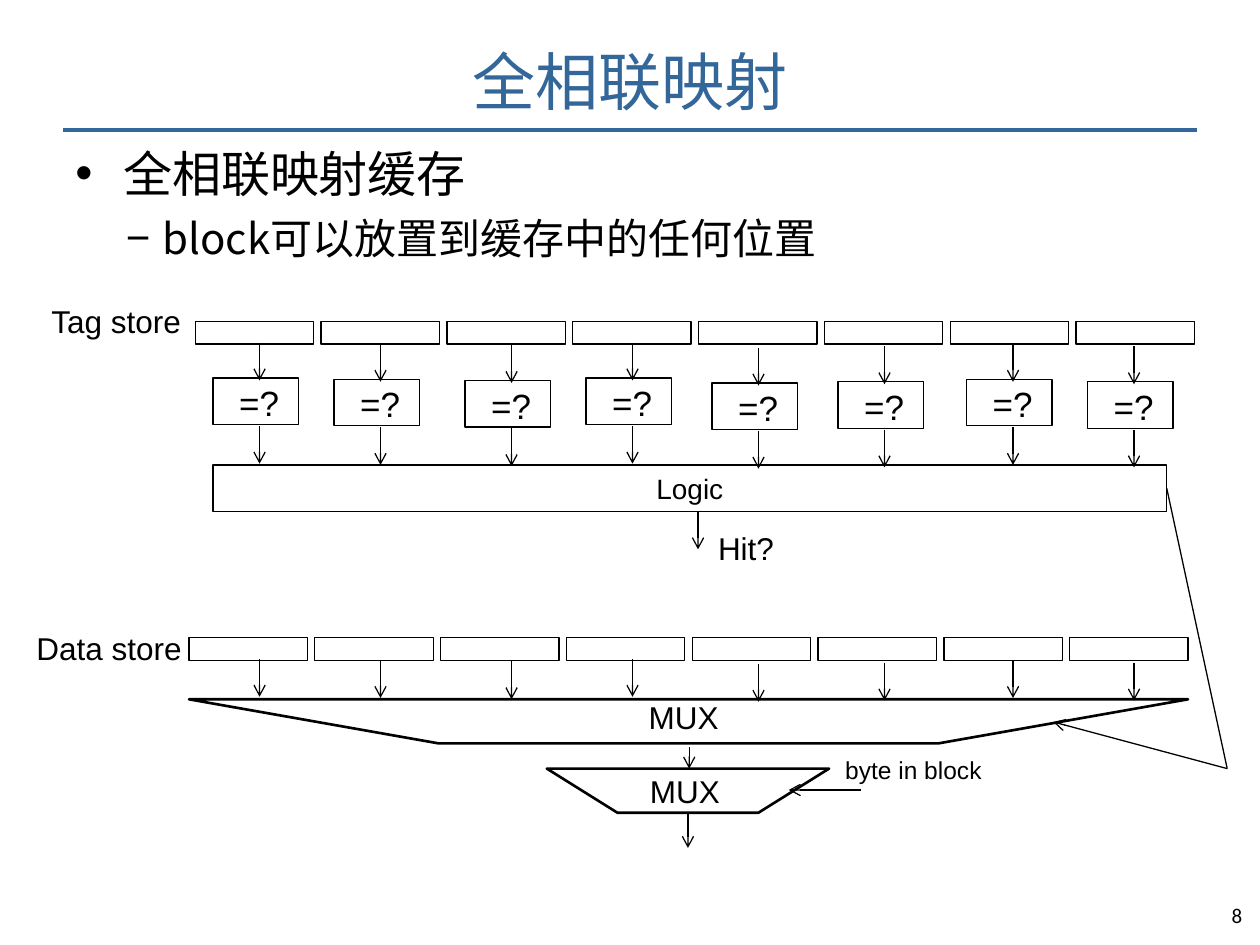
"""Build a slide that explains a fully associative cache."""
from dataclasses import dataclass

from lxml.etree import SubElement
from pptx import Presentation
from pptx.dml.color import RGBColor
from pptx.enum.shapes import MSO_CONNECTOR, MSO_SHAPE
from pptx.enum.text import MSO_ANCHOR, MSO_AUTO_SIZE, PP_ALIGN
from pptx.oxml.ns import qn
from pptx.util import Inches, Pt


@dataclass(frozen=True)
class Theme:
    """Colours, fonts, type sizes and line widths."""
    accent: RGBColor = RGBColor(0x33, 0x66, 0x99)
    ink: RGBColor = RGBColor(0, 0, 0)
    heading_font: str = "Noto Sans CJK SC"
    diagram_font: str = "Arial"
    number_font: str = "Calibri"
    title: int = 36
    bullet: int = 28
    sub_bullet: int = 24
    comparator: int = 20
    label: int = 18
    logic: int = 16
    note: int = 14
    number: int = 12
    thin: float = 0.75
    medium: float = 1.5
    thick: float = 2


@dataclass(frozen=True)
class Box:
    """A rectangle in inches."""
    left: float
    top: float
    width: float
    height: float

    def lengths(self):
        """Return the four sides as slide lengths."""
        return [Inches(side) for side in (self.left, self.top, self.width, self.height)]


THEME = Theme()
LANES = [2.06, 3.02, 4.06, 5.02, 6.02, 7.02, 8.04, 9.0]
LANE_DROPS = [0, 0.01, 0.02, 0, 0.04, 0.03, 0.01, 0.03]
ARROW_LENGTH = 0.3


def add_run(paragraph, text, size, font=THEME.diagram_font, color=THEME.ink):
    """Add one run in the given face, for Latin and Chinese alike."""
    run = paragraph.add_run()
    run.text = text
    run.font.size = Pt(size)
    run.font.color.rgb = color
    run.font.name = font
    SubElement(run.font._element, qn("a:ea")).set("typeface", font)


def add_label(slide, box, text, size, wrap=False):
    """Add a diagram label that fits its text."""
    frame = slide.shapes.add_textbox(*box.lengths()).text_frame
    frame.word_wrap = wrap
    frame.auto_size = MSO_AUTO_SIZE.SHAPE_TO_FIT_TEXT
    add_run(frame.paragraphs[0], text, size)


def outline(shape, width):
    """Leave a shape unfilled with a plain black outline."""
    shape.shadow.inherit = False
    shape.fill.background()
    shape.line.color.rgb = THEME.ink
    shape.line.width = Pt(width)


def add_rectangle(slide, box):
    """Add an outlined rectangle."""
    rectangle = slide.shapes.add_shape(MSO_SHAPE.RECTANGLE, *box.lengths())
    outline(rectangle, THEME.thin)
    return rectangle


def add_line(slide, start, end, color=THEME.ink, width=THEME.thin, arrow=True):
    """Add a straight connector, with an arrowhead at its end if wanted."""
    points = [Inches(value) for value in (*start, *end)]
    line = slide.shapes.add_connector(MSO_CONNECTOR.STRAIGHT, *points)
    line.line.color.rgb = color
    line.line.width = Pt(width)
    if arrow:
        SubElement(line.line._get_or_add_ln(), qn("a:tailEnd")).set("type", "arrow")
    SubElement(line._element.spPr, qn("a:effectLst"))
    return line


def add_down_arrow(slide, x, y, length=ARROW_LENGTH):
    """Add an arrow pointing straight down."""
    add_line(slide, (x, y), (x, y + length))


def add_title(slide, box):
    """Place the heading and the rule beneath it."""
    frame = slide.shapes.add_textbox(*box.lengths()).text_frame
    frame.word_wrap = True
    frame.vertical_anchor = MSO_ANCHOR.MIDDLE
    heading = frame.paragraphs[0]
    heading.alignment = PP_ALIGN.CENTER
    add_run(heading, "全相联映射", THEME.title, THEME.heading_font, THEME.accent)
    rule_y = box.top + 0.9
    add_line(slide, (box.left, rule_y), (box.left + box.width, rule_y),
             THEME.accent, THEME.thick, arrow=False)


def add_bullets(slide, box):
    """Place the two levels of bullets."""
    frame = slide.shapes.add_textbox(*box.lengths()).text_frame
    frame.word_wrap = True
    levels = [("全相联映射缓存", THEME.bullet, "•", 0.38, 0.38, 5.6, 0),
              ("block可以放置到缓存中的任何位置", THEME.sub_bullet, "−", 0.69, 0.29, 6, 6)]
    for level, (text, size, mark, margin, hanging, before, after) in enumerate(levels):
        paragraph = frame.add_paragraph() if level else frame.paragraphs[0]
        paragraph.level = level
        paragraph.space_before = Pt(before)
        paragraph.space_after = Pt(after)
        properties = paragraph._p.get_or_add_pPr()
        properties.set("marL", str(Inches(margin)))
        properties.set("indent", str(-Inches(hanging)))
        SubElement(properties, qn("a:buFont")).set("typeface", THEME.diagram_font)
        SubElement(properties, qn("a:buChar")).set("char", mark)
        add_run(paragraph, text, size, THEME.heading_font)


def add_store(slide, box, name, name_box):
    """Place a named row of equal cells with an arrow leaving each."""
    cell_width = 0.94
    pitch = (box.width - cell_width) / (len(LANES) - 1)
    for index, (lane, drop) in enumerate(zip(LANES, LANE_DROPS)):
        add_rectangle(slide, Box(box.left + index * pitch, box.top, cell_width, box.height))
        add_down_arrow(slide, lane, box.top + 0.17 + drop)
    add_label(slide, name_box, name, THEME.label)


def add_comparators(slide, box):
    """Place one tag comparator in each lane, with its outgoing arrow."""
    for lane, drop in zip(LANES, LANE_DROPS):
        top = box.top + drop
        add_rectangle(slide, Box(lane - 0.37, top, 0.68, box.height))
        add_label(slide, Box(lane - 0.26, top - 0.02, 0.52, 0.44), "=?", THEME.comparator)
        add_down_arrow(slide, lane, top + box.height + 0.01)


def add_logic(slide, box):
    """Place the hit logic, its output and its select line."""
    logic = add_rectangle(slide, box)
    frame = logic.text_frame
    frame.word_wrap = True
    frame.vertical_anchor = MSO_ANCHOR.MIDDLE
    frame.paragraphs[0].alignment = PP_ALIGN.CENTER
    add_run(frame.paragraphs[0], "Logic", THEME.logic)
    bottom = box.top + box.height
    add_down_arrow(slide, 5.54, bottom)
    add_label(slide, Box(5.6, bottom + 0.09, 0.65, 0.4), "Hit?", THEME.label)
    corner = (9.74, 6.1)
    select = add_line(slide, (box.left + box.width, box.top + box.height / 2),
                      corner, arrow=False)
    select.begin_connect(logic, 3)
    add_line(slide, corner, (8.36, 5.73))


def add_mux(slide, box, name_box):
    """Place a multiplexer that narrows by a quarter on each side."""
    right, bottom, inset = box.left + box.width, box.top + box.height, box.width / 4
    corners = [(right, box.top), (right - inset, bottom),
               (box.left + inset, bottom), (box.left, box.top)]
    start, *others = [(Inches(x), Inches(y)) for x, y in corners]
    builder = slide.shapes.build_freeform(*start)
    builder.add_line_segments(others, close=True)
    outline(builder.convert_to_shape(), THEME.medium)
    add_label(slide, name_box, "MUX", THEME.label, wrap=True)


def add_byte_select(slide, box):
    """Place the byte multiplexer with its input, output and select line."""
    add_mux(slide, box, Box(5.06, box.top - 0.02, 0.87, 0.4))
    add_down_arrow(slide, 5.47, box.top - 0.17, 0.17)
    add_down_arrow(slide, 5.46, box.top + box.height, 0.28)
    add_line(slide, (6.83, box.top + 0.17), (6.26, box.top + 0.17))
    add_label(slide, Box(6.61, box.top - 0.16, 1.47, 0.34), "byte in block", THEME.note, wrap=True)


def add_slide_number(slide, box):
    """Place the slide number."""
    frame = slide.shapes.add_textbox(*box.lengths()).text_frame
    frame.word_wrap = True
    frame.margin_left = frame.margin_right = Inches(0.11)
    frame.margin_top = frame.margin_bottom = Inches(0.06)
    frame.paragraphs[0].alignment = PP_ALIGN.RIGHT
    add_run(frame.paragraphs[0], "8", THEME.number, THEME.number_font)


def main():
    """Build and save the slide."""
    deck = Presentation()
    deck.slide_width, deck.slide_height = Inches(10), Inches(7.5)
    slide = deck.slides.add_slide(deck.slide_layouts[6])
    add_title(slide, Box(0.5, 0.13, 9, 1.01))
    add_bullets(slide, Box(0.5, 1.09, 9, 5.68))
    add_store(slide, Box(1.55, 2.55, 7.93, 0.18), "Tag store", Box(0.31, 2.35, 1.24, 0.4))
    add_comparators(slide, Box(1.69, 3, 7.62, 0.37))
    add_logic(slide, Box(1.69, 3.69, 7.57, 0.37))
    add_store(slide, Box(1.5, 5.06, 7.93, 0.18), "Data store", Box(0.19, 4.94, 1.37, 0.4))
    add_mux(slide, Box(1.5, 5.55, 7.93, 0.35), Box(5.05, 5.49, 0.89, 0.4))
    add_byte_select(slide, Box(4.34, 6.1, 2.24, 0.35))
    add_slide_number(slide, Box(9.5, 7.1, 0.47, 0.23))
    deck.save("out.pptx")


if __name__ == "__main__":
    main()
